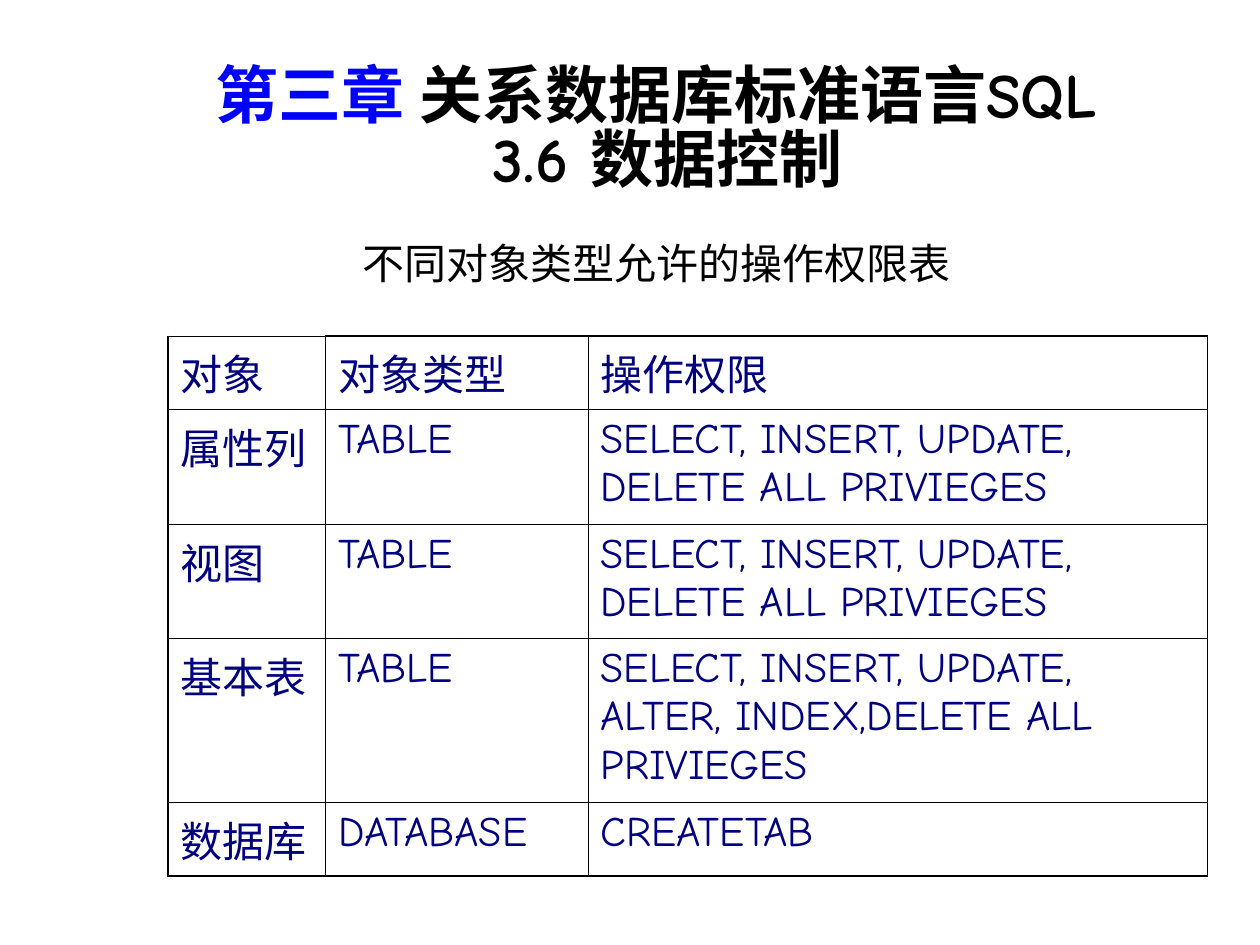
from dataclasses import dataclass

from lxml.etree import SubElement
from pptx import Presentation
from pptx.dml.color import RGBColor
from pptx.enum.text import MSO_ANCHOR, MSO_AUTO_SIZE, PP_ALIGN
from pptx.oxml import parse_xml
from pptx.oxml.ns import nsdecls, qn
from pptx.util import Inches, Pt


@dataclass(frozen=True)
class Theme:
    latin: str = "Comic Neue"
    chinese: str = "Noto Sans CJK SC"
    accent: str = "0000FF"
    ink: str = "000000"
    cell_ink: str = "000080"
    title_size: int = 36
    text_size: int = 24
    thin: float = 0.45
    thick: float = 1.08


THEME = Theme()
UNIT = Inches(1) / 12  # one grid step; the page is 120 by 90 steps

TITLE_BOX = (12, 5, 101, 15)
BODY_BOX = (12, 22, 101, 63)
TABLE_BOX = (16, 32, 99, 51.4)
COLUMNS = (15, 25, 59)
ROWS = (7, 10.9, 10.9, 15.6, 7)

COMMON_RIGHTS = "SELECT, INSERT, UPDATE, DELETE ALL PRIVIEGES"
RIGHTS = (
    ("对象", "对象类型", "操作权限"),
    ("属性列", "TABLE", COMMON_RIGHTS),
    ("视图", "TABLE", COMMON_RIGHTS),
    ("基本表", "TABLE", "SELECT, INSERT, UPDATE, ALTER, INDEX,DELETE ALL PRIVIEGES"),
    ("数据库", "DATABASE", "CREATETAB"),
)


def steps(count):
    return round(count * UNIT)


def add_span(para, text, size, color, bold=False, latin=THEME.latin):
    span = para.add_run()
    span.text = text
    font = span.font
    font.size, font.bold, font.name = Pt(size), bold, latin
    font.color.rgb = RGBColor.from_string(color)
    east_asian = SubElement(font._element, qn("a:ea"))
    east_asian.set("typeface", THEME.chinese)


def place(holder, box, anchor):
    holder.left, holder.top, holder.width, holder.height = map(steps, box)
    frame = holder.text_frame
    frame.auto_size = MSO_AUTO_SIZE.NONE
    frame.word_wrap = True
    frame.vertical_anchor = anchor
    para = frame.paragraphs[0]
    para.alignment = PP_ALIGN.CENTER
    para.space_before = Pt(0)
    return para


def fill_title(holder, box):
    para = place(holder, box, MSO_ANCHOR.MIDDLE)
    para.line_spacing = 0.84
    size = THEME.title_size
    add_span(para, "第三章 ", size, THEME.accent, True, THEME.chinese)
    add_span(para, "关系数据库标准语言SQL", size, THEME.ink, True)
    para.add_line_break()
    add_span(para, " 3.6 数据控制", size, THEME.ink, True)


def fill_caption(holder, box):
    para = place(holder, box, MSO_ANCHOR.TOP)
    properties = para._p.get_or_add_pPr()
    properties.set("marL", "0")
    properties.set("indent", "0")
    SubElement(properties, qn("a:buNone"))
    add_span(para, "不同对象类型允许的操作权限表", THEME.text_size, THEME.ink)


def set_borders(cell, widths):
    """Draw the left, right, top and bottom lines, in that order."""
    properties = cell._tc.get_or_add_tcPr()
    for index, (side, width) in enumerate(zip("LRTB", widths)):
        properties.insert(index, parse_xml(
            f'<a:ln{side} {nsdecls("a")} w="{Pt(width)}"><a:solidFill>'
            f'<a:srgbClr val="{THEME.ink}"/></a:solidFill></a:ln{side}>'))


def add_rights_table(page, box):
    frame = page.shapes.add_table(len(ROWS), len(COLUMNS), *map(steps, box))
    table = frame.table
    table.first_row = table.horz_banding = False
    for column, width in zip(table.columns, COLUMNS):
        column.width = steps(width)
    last_row, last_column = len(ROWS) - 1, len(COLUMNS) - 1
    for r, (height, texts) in enumerate(zip(ROWS, RIGHTS)):
        table.rows[r].height = steps(height)
        for c, text in enumerate(texts):
            cell = table.cell(r, c)
            cell.fill.background()
            outer = (c == 0, c == last_column, r == 0 and c > 0, r == last_row)
            set_borders(cell, [THEME.thick if edge else THEME.thin for edge in outer])
            add_span(cell.text_frame.paragraphs[0], text, THEME.text_size, THEME.cell_ink)


def main():
    deck = Presentation()
    deck.slide_width, deck.slide_height = Inches(10), Inches(7.5)
    page = deck.slides.add_slide(deck.slide_layouts[1])
    fill_title(page.shapes.title, TITLE_BOX)
    fill_caption(page.placeholders[1], BODY_BOX)
    add_rights_table(page, TABLE_BOX)
    deck.save("out.pptx")


if __name__ == "__main__":
    main()
